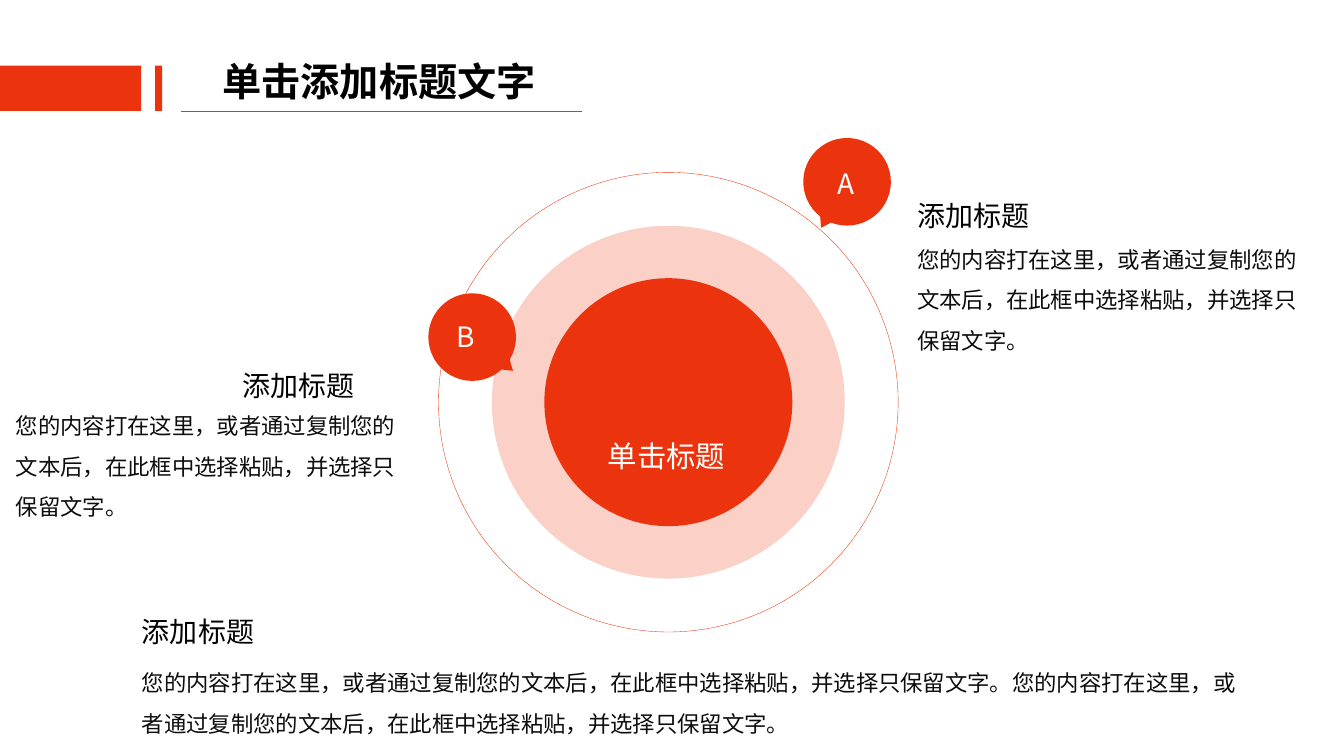
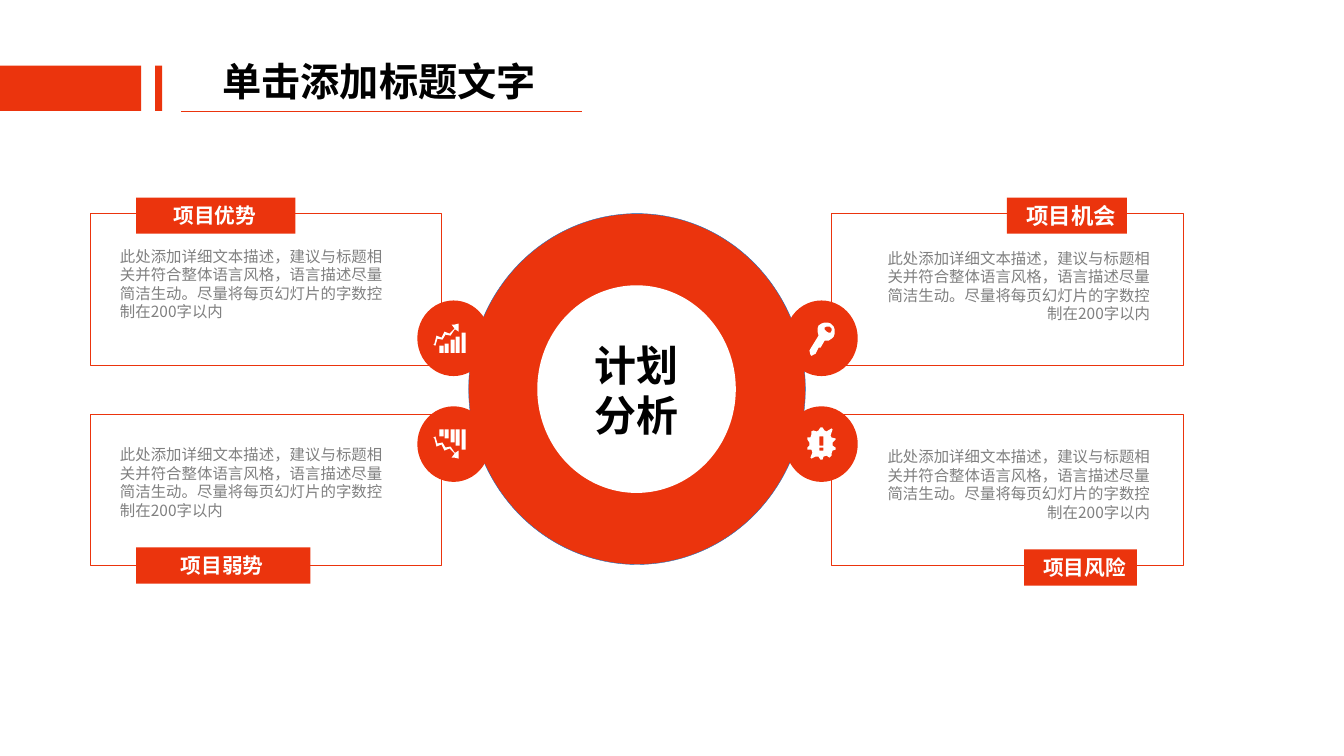
from dataclasses import dataclass

from pptx import Presentation
from pptx.dml.color import RGBColor as RGB
from pptx.enum.shapes import MSO_CONNECTOR as LINK, MSO_SHAPE as KIND
from pptx.enum.text import MSO_ANCHOR as ANCHOR, PP_ALIGN as ALIGN
from pptx.oxml.ns import qn
from pptx.util import Pt


@dataclass(frozen=True)
class Theme:
    font: str = "Noto Sans CJK SC"
    red: str = "EB340D"
    blue: str = "0F6FC6"
    white: str = "FFFFFF"
    black: str = "000000"
    ink: str = "0D0D0D"
    grey: str = "808080"
    title: float = 28
    hub: float = 30
    core: float = 21
    head: float = 20
    body: float = 16
    tag: float = 14.8
    note: float = 11
    hair: float = 0.25
    rule: float = 0.5


look = Theme()


def put(slide, kind, box, fill=None, line=None, turn=0):
    """Add a preset shape, or a text box when kind is None."""
    place = [Pt(v) for v in box]
    if kind is None:
        return slide.shapes.add_textbox(*place)
    shape = slide.shapes.add_shape(kind, *place)
    shape.shadow.inherit = False
    shape.rotation = turn
    if fill:
        shape.fill.solid()
        shape.fill.fore_color.rgb = RGB.from_string(fill)
    else:
        shape.fill.background()
    if line:
        shape.line.color.rgb = RGB.from_string(line)
        shape.line.width = Pt(look.hair)
    else:
        shape.line.fill.background()
    return shape


def write(shape, text, size, color, bold=False, align=ALIGN.LEFT,
          space=None, wrap=True, anchor=ANCHOR.TOP, pad=(7.2, 3.6, 7.2, 3.6)):
    """Fill a shape with text, one paragraph a line; pad is left, top, right, bottom."""
    frame = shape.text_frame
    sides = ("margin_left", "margin_top", "margin_right", "margin_bottom")
    form = dict(zip(sides, map(Pt, pad)), word_wrap=wrap, vertical_anchor=anchor)
    for key, val in form.items():
        setattr(frame, key, val)
    frame.text = text
    for para in frame.paragraphs:
        para.alignment = align
        if space:
            para.line_spacing = space
        for run in para.runs:
            for key, val in dict(name=look.font, size=Pt(size), bold=bold).items():
                setattr(run.font, key, val)
            run.font.color.rgb = RGB.from_string(color)
            latin = run.font._element.find(qn("a:latin"))
            east = latin.makeelement(qn("a:ea"), {"typeface": look.font})
            latin.addnext(east)


deck = Presentation()
deck.slide_width, deck.slide_height = Pt(960), Pt(540)
rings, plan = [deck.slides.add_slide(deck.slide_layouts[6]) for _ in range(2)]

# Shared heading
for slide in (rings, plan):
    for left, width in ((110.9, 5), (0, 100.8)):
        put(slide, KIND.RECTANGLE, (left, 46.8, width, 32.4), look.red)
    write(put(slide, None, (151.9, 37.4, 240.5, 41)), "单击添加标题文字",
          look.title, look.black, bold=True, wrap=False)
    rule = slide.shapes.add_connector(LINK.STRAIGHT, Pt(129.6), Pt(79.2), Pt(415.4), Pt(79.2))
    rule.line.color.rgb = RGB.from_string(look.red)
    rule.line.width = Pt(look.rule)
    props = rule._element.spPr
    props.append(props.makeelement(qn("a:effectLst"), {}))

# Slide 1: concentric circles
mid_x, mid_y = 477.4, 287.3
for size, fill, line, alpha in (
    (252, look.red, None, 23),
    (328.3, None, look.red, None),
    (177.1, look.red, None, None),
):
    disc = put(rings, KIND.OVAL, (mid_x - size / 2, mid_y - size / 2, size, size), fill, line)
    if alpha:
        tint = disc._element.spPr.find(".//" + qn("a:srgbClr"))
        tint.append(tint.makeelement(qn("a:alpha"), {"val": str(alpha * 1000)}))
write(put(rings, None, (427, 309.6, 99.4, 32.4)), "单击标题",
      look.core, look.white, wrap=False)

# Lettered bubbles: letter, disc corner, tail corner and turn, letter box
for letter, disc, tail, turn, spot in (
    ("A", (573.8, 98.6), (581, 150.5), 208.8, (591.1, 115.2)),
    ("B", (306, 209.5), (352.8, 254.2), 130.2, (319, 224.6)),
):
    put(rings, KIND.FLOWCHART_CONNECTOR, (*disc, 62.6, 62.6), look.red)
    put(rings, KIND.ISOSCELES_TRIANGLE, (*tail, 17.3, 13), look.red, turn=turn)
    write(put(rings, None, (*spot, 28, 31.7)), letter, look.head, look.white, wrap=False)

story = "您的内容打在这里，或者通过复制您的文本后，在此框中选择粘贴，并选择只保留文字。"
for head, body, width, text in (
    ((648, 138.2), (648, 162.7), 301, story),
    ((166.3, 259.9), (4.3, 281.5), 301, story),
    ((94.3, 435.6), (94.3, 465.1), 801.4, story * 2),
):
    write(put(rings, None, (*body, width, 94.3)), text, look.body, look.ink, space=1.5)
    write(put(rings, None, (*head, 95, 31.7)), "添加标题", look.head, look.black, wrap=False)

# Slide 2: hub and four panels
put(plan, KIND.OVAL, (334.8, 152.6, 240.5, 250.6), look.red, look.blue)
put(plan, KIND.OVAL, (383.8, 203.8, 141.8, 148.3), look.white)
for left in (64.1, 594):
    for top in (152.6, 295.9):
        put(plan, KIND.RECTANGLE, (left, top, 251.3, 108), line=look.red)

# Icon outlines on a grid of 0.72 pt; each icon is a list of contours
arrow = [(12, 11), (17, 12), (21, 6), (22, 6), (25, 8), (25, 0), (21, 1), (18, 1), (21, 5),
         (16, 10), (11, 8), (8, 14), (3, 12), (1, 20), (0, 21), (2, 22), (4, 15), (9, 16)]
bars = [[(x, 29), (x, y), (x + 4, y), (x + 4, 29)]
        for x, y in ((6, 22), (11, 20), (17, 16), (22, 13), (28, 9))]
rise = [arrow, *bars]
fall = [[(x, 29 - y) for x, y in line] for line in rise]
burst = [(29, 20), (26, 18), (26, 15), (29, 12), (29, 11), (25, 10), (24, 8), (26, 2), (25, 1),
         (20, 4), (18, 3), (16, 0), (14, 0), (12, 3), (10, 4), (7, 3), (5, 4), (5, 7), (4, 10),
         (1, 10), (1, 12), (3, 15), (3, 18), (1, 20), (1, 22), (5, 22), (6, 25), (4, 30),
         (5, 31), (9, 29), (12, 29), (14, 32), (16, 32), (17, 29), (20, 28), (23, 30),
         (25, 28), (25, 26), (26, 23), (29, 22)]
alert = [burst] + [[(13, a), (13, b), (17, b), (17, a)] for a, b in ((9, 18), (20, 23))]
key = [[(25, 7), (24, 4), (21, 1), (18, 0), (15, 0), (12, 1), (9, 3), (8, 6), (8, 9), (9, 13),
        (1, 26), (0, 28), (1, 32), (2, 33), (4, 32), (6, 31), (9, 25), (11, 25), (15, 18),
        (19, 18), (22, 16), (24, 14), (25, 11)],
       [(21, 10), (19, 10), (17, 9), (15, 7), (15, 5), (17, 4), (20, 4), (22, 6), (22, 8)]]
for disc, spot, icon in (
    ((298.1, 214.6), (309.6, 231.1), rise),
    ((298.1, 290.2), (309.6, 306.7), fall),
    ((560.9, 290.2), (576, 305.3), alert),
    ((560.9, 214.6), (578.2, 230.4), key),
):
    put(plan, KIND.OVAL, (*disc, 51.8, 54), look.red)
    pen = plan.shapes.build_freeform(*icon[0][0], scale=Pt(0.72))
    for line in icon:
        pen.move_to(*line[0])
        pen.add_line_segments(line[1:], close=True)
    mark = pen.convert_to_shape(*map(Pt, spot))
    mark.shadow.inherit = False
    mark.fill.solid()
    mark.fill.fore_color.rgb = RGB.from_string(look.white)
    mark.line.fill.background()

note = ("此处添加详细文本描述，建议与标题相关并符合整体语言风格，"
        "语言描述尽量简洁生动。尽量将每页幻灯片的字数控制在200字以内")
for left, top, align in ((625, 174.2, ALIGN.RIGHT), (77.8, 172.8, ALIGN.LEFT)):
    for y in (top, top + 141.8):
        write(put(plan, None, (left, y, 204.5, 61.2)), note, look.note, look.grey,
              align=align, pad=(7.9, 3.6, 7.9, 3.6))

near, far = (7.9, 4.3, 9.4, 4.3), (9.4, 4.3, 7.9, 4.3)
for text, left, top, width, size, align, pad in (
    ("项目优势", 97.2, 141.1, 113.8, look.tag, ALIGN.CENTER, near),
    ("项目机会", 719.3, 141.1, 85.7, look.body, ALIGN.RIGHT, far),
    ("项目风险", 731.5, 392.4, 80.6, look.tag, ALIGN.RIGHT, far),
    ("项目弱势", 97.2, 391, 124.6, look.tag, ALIGN.CENTER, near),
):
    write(put(plan, KIND.RECTANGLE, (left, top, width, 25.9), look.red), text, size,
          look.white, bold=True, align=align, anchor=ANCHOR.MIDDLE, pad=pad)

write(put(plan, None, (393.1, 239.8, 123.8, 77)), "计划\n分析", look.hub, look.black, bold=True,
      align=ALIGN.CENTER, anchor=ANCHOR.MIDDLE, pad=(9.4, 4.3, 9.4, 4.3))

deck.save("out.pptx")
